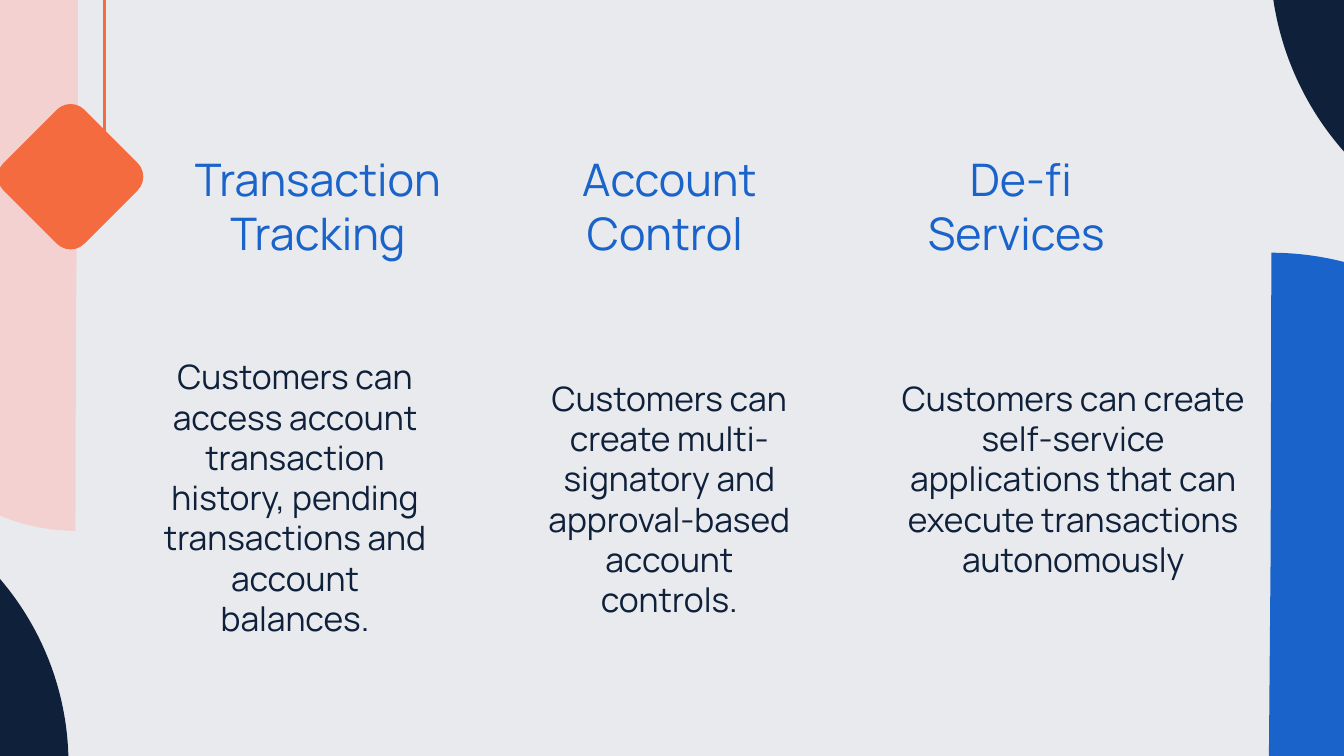
from dataclasses import dataclass

import lxml.etree
import pptx
import pptx.dml.color
import pptx.enum.shapes
import pptx.enum.text
import pptx.oxml.ns
import pptx.util

Pt = pptx.util.Pt
Shape = pptx.enum.shapes.MSO_SHAPE


@dataclass(frozen=True)
class Theme:
    """Colours, font and type sizes of the slide."""
    background: str = "E9EAEE"
    pink: str = "F4D1D1"
    navy: str = "0E203A"
    blue: str = "1963CB"
    orange: str = "F36B3F"
    font: str = "Manrope"
    heading_size: float = 24
    body_size: float = 18


THEME = Theme()
HALF_DISC = (54.08, 162.29)
QUARTER_DISC = (162.07, 215.7)
COLUMN_TOP = 74.16
COLUMN_LEFT = 92.88
COLUMN_PITCH = 188.3
HEADING_WIDTH = 154.8
HEADING_HEIGHT = 64
COLUMNS = [
    ("Transaction Tracking",
     "Customers can access account transaction history, pending transactions and account balances.",
     (-12.24, 109.44, 154.8, 38.16)),
    ("Account Control ",
     "Customers can create multi-signatory and approval-based account controls.",
     (0, 120.96, 154.8, 100.8)),
    ("De-fi Services ",
     "Customers can create self-service applications that can execute transactions autonomously",
     (0, 120.96, 210.96, 27.36)),
]


def rgb(code):
    """Turn a hex code into a colour."""
    return pptx.dml.color.RGBColor.from_string(code)


def add_solid(slide, kind, box, color, rotation=0, adjustments=()):
    """Draw a filled preset shape without outline."""
    solid = slide.shapes.add_shape(kind, *map(Pt, box))
    solid.shadow.inherit = False
    solid.fill.solid()
    solid.fill.fore_color.rgb = rgb(color)
    solid.line.fill.background()
    solid.rotation = rotation
    for index, value in enumerate(adjustments):
        solid.adjustments[index] = value


def add_text(slide, box, wording, *, size, color):
    """Write a centred paragraph in a wrapping, top-anchored box."""
    frame = slide.shapes.add_textbox(*map(Pt, box)).text_frame
    frame.word_wrap = True
    frame.auto_size = pptx.enum.text.MSO_AUTO_SIZE.NONE
    frame.vertical_anchor = pptx.enum.text.MSO_ANCHOR.TOP
    frame.margin_left = frame.margin_right = Pt(7.2)
    frame.margin_top = frame.margin_bottom = Pt(7.2)
    paragraph = frame.paragraphs[0]
    paragraph.alignment = pptx.enum.text.PP_ALIGN.CENTER
    run = paragraph.add_run()
    run.text = wording
    run.font.name = THEME.font
    run.font.size = Pt(size)
    run.font.color.rgb = rgb(color)


def add_line(slide, start, end, color, width):
    """Draw a straight line without shadow."""
    line = slide.shapes.add_connector(
        pptx.enum.shapes.MSO_CONNECTOR.STRAIGHT, *map(Pt, start + end))
    line.line.color.rgb = rgb(color)
    line.line.width = Pt(width)
    lxml.etree.SubElement(line._element.spPr, pptx.oxml.ns.qn("a:effectLst"))


def draw_left_edge(slide, left, top):
    """Draw the pink band and the navy quarter disc on the left edge."""
    add_solid(slide, Shape.PIE, (left - 64.8, top + 73.44, 211, 211),
              THEME.pink, adjustments=HALF_DISC)
    add_solid(slide, Shape.PIE, (left - 267.84, top + 257.04, 304.56, 304.56),
              THEME.navy, adjustments=QUARTER_DISC)
    add_solid(slide, Shape.RECTANGLE, (left, top - 0.72, 41.76, 98.64), THEME.pink)


def draw_right_edge(slide, left, top):
    """Draw the blue half disc and the navy quarter disc on the right edge."""
    add_solid(slide, Shape.PIE, (left - 157.68, top + 135.36, 316, 316),
              THEME.blue, 180, HALF_DISC)
    add_solid(slide, Shape.PIE, (left, top - 181.44, 316, 316),
              THEME.navy, 180, QUARTER_DISC)


def draw_column(slide, left, top, heading, body, body_box):
    """Write one heading and its body text, placed from the column's corner."""
    add_text(slide, (left, top, HEADING_WIDTH, HEADING_HEIGHT), heading,
             size=THEME.heading_size, color=THEME.blue)
    dx, dy, width, height = body_box
    add_text(slide, (left + dx, top + dy, width, height), body,
             size=THEME.body_size, color=THEME.navy)


def draw_pendant(slide, left, top):
    """Draw the orange diamond and the line it hangs from."""
    add_solid(slide, Shape.ROUNDED_RECTANGLE, (left + 7.2, top + 64.08, 61.2, 61.2),
              THEME.orange, 45, (0.17,))
    add_line(slide, (left + 56.16, top - 3.6), (left + 56.16, top + 86.4),
             THEME.orange, 1.5)


def main():
    """Build and save the slide."""
    deck = pptx.Presentation()
    deck.slide_width, deck.slide_height = Pt(720), Pt(405)
    slide = deck.slides.add_slide(deck.slide_layouts[6])
    slide.background.fill.solid()
    slide.background.fill.fore_color.rgb = rgb(THEME.background)
    draw_left_edge(slide, 0, 0)
    draw_right_edge(slide, 680.4, 0)
    for index, column in enumerate(COLUMNS):
        draw_column(slide, COLUMN_LEFT + index * COLUMN_PITCH, COLUMN_TOP, *column)
    draw_pendant(slide, 0, 0)
    deck.save("out.pptx")


if __name__ == "__main__":
    main()
